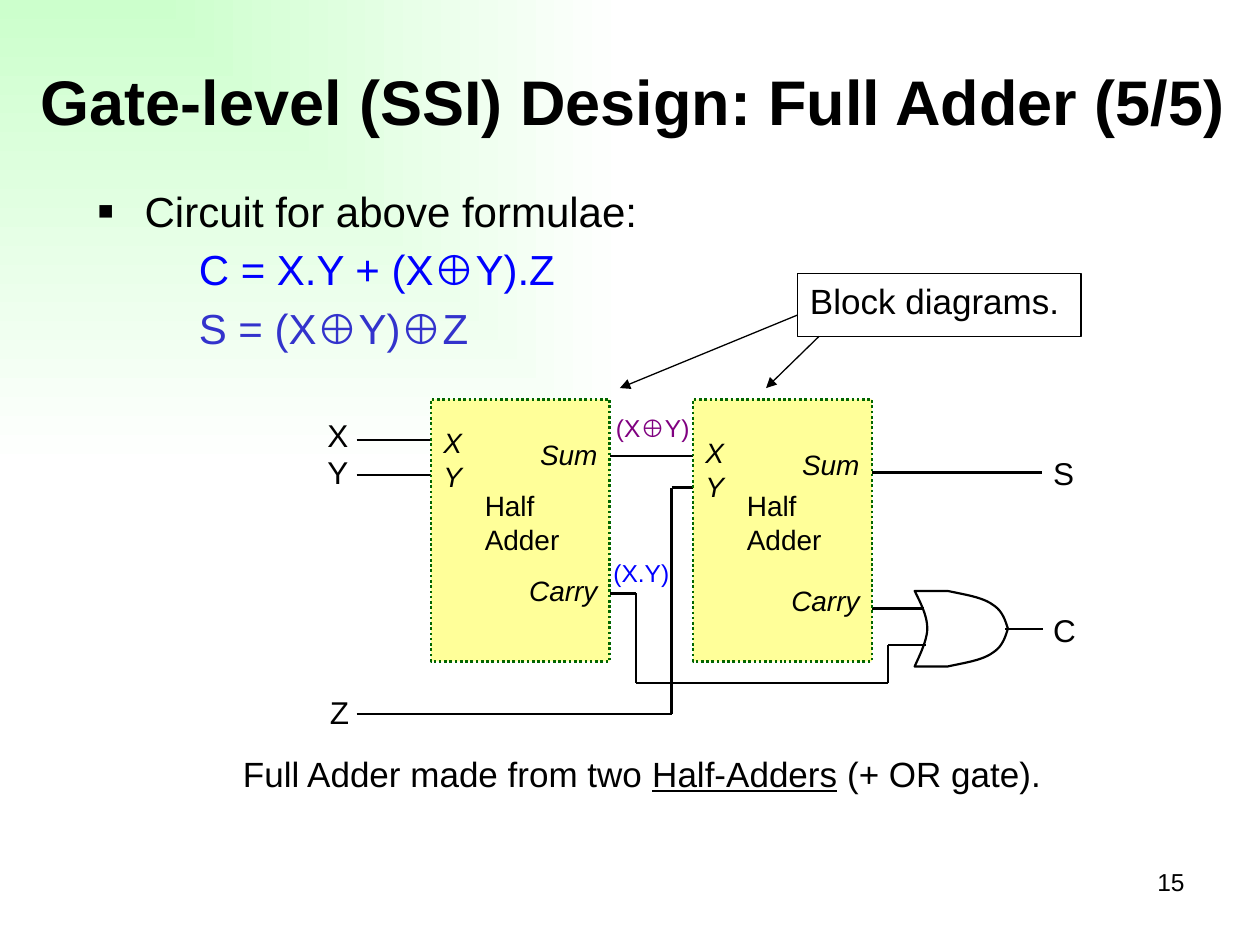
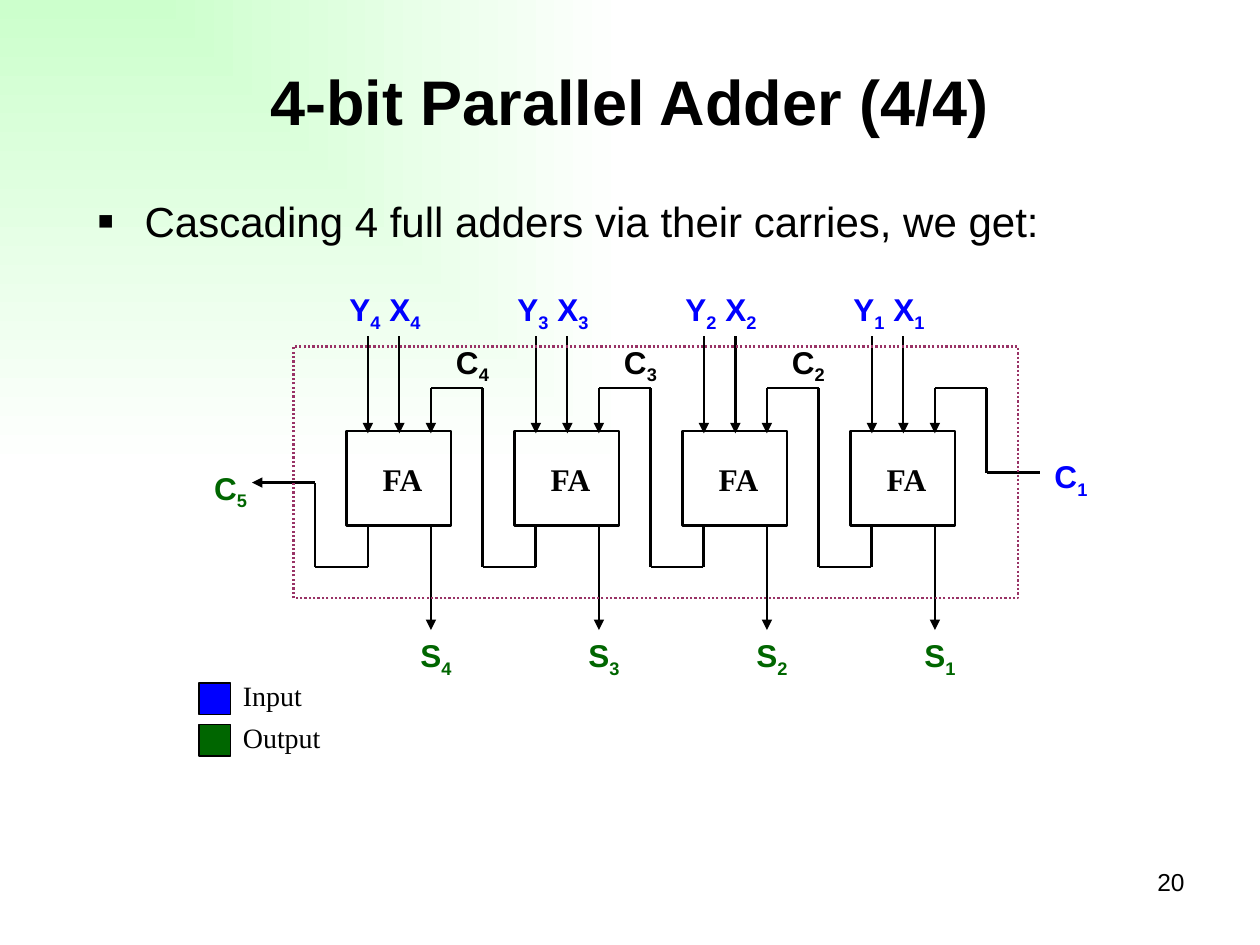
from dataclasses import dataclass
from itertools import pairwise
from typing import Any, NamedTuple

import lxml.etree
import pptx
import pptx.dml.color
import pptx.enum.dml
import pptx.enum.shapes
import pptx.enum.text
import pptx.oxml
import pptx.oxml.ns
import pptx.util
from pptx.util import Inches

BLACK, BLUE, GREEN = "000000", "0000FF", "006600"
INDIGO, PURPLE, PLUM, YELLOW = "3333CC", "800080", "993366", "FFFF99"
MINT, WHITE = "CCFFCC", "FFFFFF"
SANS, SERIF = "Arial", "Times New Roman"
LEFT = pptx.enum.text.PP_ALIGN.LEFT
CENTER = pptx.enum.text.PP_ALIGN.CENTER
RIGHT = pptx.enum.text.PP_ALIGN.RIGHT
TOP = pptx.enum.text.MSO_ANCHOR.TOP
MIDDLE = pptx.enum.text.MSO_ANCHOR.MIDDLE
WIRE_WIDTH = 1.25

Point = tuple[float, float]


class Box(NamedTuple):
    left: float
    top: float
    width: float
    height: float


@dataclass
class Piece:
    """A stretch of text, with font values that differ from its paragraph's."""
    text: str
    underline: bool = False
    subscript: bool = False


@dataclass
class Line:
    """One paragraph."""
    pieces: list[Piece]
    color: str = BLACK
    margin: float = 0
    bullet: str = ""
    space_before: float = 0


@dataclass
class HalfAdder:
    left: float
    pin_shift: float


@dataclass
class LegendEntry:
    name: str
    color: str
    top: float


def rgb(color: str) -> pptx.dml.color.RGBColor:
    return pptx.dml.color.RGBColor.from_string(color)


def emu(values) -> list[int]:
    return [Inches(value) for value in values]


def plain(text: str, **values: Any) -> Line:
    return Line([Piece(text)], **values)


def indexed(*names: str, index: int, color: str = BLACK) -> Line:
    """Names that each carry the same subscript, one space apart."""
    pieces = []
    for position, name in enumerate(names):
        pieces.append(Piece(" " + name if position else name))
        pieces.append(Piece(str(index), subscript=True))
    return Line(pieces, color)


def write(shape, lines: list[Line], size: float, align=LEFT, anchor=TOP, **font_values: Any) -> None:
    frame = shape.text_frame
    frame.word_wrap = True
    frame.vertical_anchor = anchor
    font_format = {"name": SANS, "size": pptx.util.Pt(size), **font_values}
    for number, line in enumerate(lines):
        paragraph = frame.add_paragraph() if number else frame.paragraphs[0]
        paragraph.alignment = align
        paragraph.space_before = pptx.util.Pt(line.space_before)
        if line.margin:
            indent(paragraph, line)
        for piece in line.pieces:
            run = paragraph.add_run()
            run.text = piece.text
            for name, value in font_format.items():
                setattr(run.font, name, value)
            run.font.color.rgb = rgb(line.color)
            if piece.underline:
                run.font.underline = True
            if piece.subscript:
                run._r.get_or_add_rPr().set("baseline", "-25000")


def indent(paragraph, line: Line) -> None:
    properties = paragraph._p.get_or_add_pPr()
    properties.set("marL", str(Inches(line.margin)))
    if line.bullet:
        properties.set("indent", str(-Inches(line.margin)))
        for tag, name, value in (("a:buSzPct", "val", "120000"), ("a:buFont", "typeface", SANS),
                                 ("a:buChar", "char", line.bullet)):
            lxml.etree.SubElement(properties, pptx.oxml.ns.qn(tag)).set(name, value)


def add_text(slide, box: Box, lines: list[Line], size: float, **values: Any) -> None:
    write(slide.shapes.add_textbox(*emu(box)), lines, size, **values)


def style_outline(shape, color: str, width: float, fill: str = "", dotted: bool = False) -> None:
    shape.shadow.inherit = False
    if fill:
        shape.fill.solid()
        shape.fill.fore_color.rgb = rgb(fill)
    else:
        shape.fill.background()
    shape.line.color.rgb = rgb(color)
    shape.line.width = pptx.util.Pt(width)
    if dotted:
        shape.line.dash_style = pptx.enum.dml.MSO_LINE.ROUND_DOT


def add_rectangle(slide, box: Box, color: str, width: float, **values: Any):
    shape = slide.shapes.add_shape(pptx.enum.shapes.MSO_SHAPE.RECTANGLE, *emu(box))
    style_outline(shape, color, width, **values)
    return shape


def add_route(slide, *points: Point, arrow: bool = False, width: float = WIRE_WIDTH) -> None:
    """Straight wires from point to point; an arrow goes on the last one."""
    for start, end in pairwise(points):
        connector = slide.shapes.add_connector(
            pptx.enum.shapes.MSO_CONNECTOR.STRAIGHT, *emu(start + end))
        connector.line.color.rgb = rgb(BLACK)
        connector.line.width = pptx.util.Pt(width)
        properties = connector._element.spPr
        lxml.etree.SubElement(properties, pptx.oxml.ns.qn("a:effectLst"))
    if arrow:
        line = connector.line._get_or_add_ln()
        lxml.etree.SubElement(line, pptx.oxml.ns.qn("a:tailEnd")).set("type", "triangle")


def curve(start: Point, first: Point, second: Point, end: Point, steps: int = 12) -> list[Point]:
    """Points along a cubic curve."""
    points = []
    for step in range(steps + 1):
        t = step / steps
        weights = ((1 - t) ** 3, 3 * t * (1 - t) ** 2, 3 * t ** 2 * (1 - t), t ** 3)
        corners = (start, first, second, end)
        points.append(tuple(sum(w * corner[axis] for w, corner in zip(weights, corners))
                            for axis in (0, 1)))
    return points


def add_or_gate(slide) -> None:
    middle = 4.99
    upper = (curve((7.52, 4.69), (7.66, 4.72), (7.8, 4.74), (7.88, 4.8))
             + curve((7.88, 4.8), (7.96, 4.85), (7.98, 4.93), (8, middle)))
    lower = [(x, 2 * middle - y) for x, y in reversed(upper)]
    back = (curve((7.26, 5.29), (7.28, 5.24), (7.36, 5.09), (7.36, middle))
            + curve((7.36, middle), (7.36, 4.89), (7.31, 4.79), (7.26, 4.69)))
    start, *rest = [emu(point) for point in upper + lower + back]
    builder = slide.shapes.build_freeform(*start)
    builder.add_line_segments(rest, close=True)
    style_outline(builder.convert_to_shape(), BLACK, WIRE_WIDTH)


def add_slide(presentation, title: str, title_box: Box, number: int):
    slide = presentation.slides.add_slide(presentation.slide_layouts[6])
    fill = slide.background.fill
    fill.gradient()
    for stop, color, position in zip(fill.gradient_stops, (MINT, WHITE), (0, 1)):
        stop.color.rgb = rgb(color)
        stop.position = position
    gradient = slide.background._cSld.find(".//" + pptx.oxml.ns.qn("a:gradFill"))
    gradient.remove(gradient.find(pptx.oxml.ns.qn("a:lin")))
    shade = lxml.etree.SubElement(gradient, pptx.oxml.ns.qn("a:path"))
    shade.set("path", "rect")
    lxml.etree.SubElement(shade, pptx.oxml.ns.qn("a:fillToRect")).attrib.update(
        {"r": "100000", "b": "100000"})
    add_text(slide, Box(7.17, 6.83, 2.33, 0.52), [plain(str(number))], 14, align=RIGHT)
    add_text(slide, title_box, [plain(title)], 36, align=CENTER, anchor=MIDDLE, bold=True)
    return slide


def bulleted(text: str) -> Line:
    return plain(text, margin=0.38, bullet="▪")


def add_half_adder(slide, block: HalfAdder) -> None:
    left, shift = block.left, block.pin_shift
    add_rectangle(slide, Box(left, 3.17, 1.42, 2.08), GREEN, 1.5, fill=YELLOW, dotted=True)
    add_text(slide, Box(left + 0.33, 3.83, 0.83, 0.67), [plain("Half"), plain("Adder")], 16)
    add_text(slide, Box(left, 3.33 + shift, 0.5, 0.67), [plain("X"), plain("Y")], 16, italic=True)
    add_text(slide, Box(left + 0.75, 3.42 + shift, 0.67, 0.33), [plain("Sum")], 16,
             align=RIGHT, italic=True)
    add_text(slide, Box(left + 0.67, 4.5 + shift, 0.75, 0.42), [plain("Carry")], 16,
             align=RIGHT, italic=True)


def build_full_adder(presentation) -> None:
    slide = add_slide(presentation, "Gate-level (SSI) Design: Full Adder (5/5)",
                      Box(0.15, 0.17, 9.75, 1.25), 15)
    add_text(slide, Box(0.67, 1.42, 8.33, 1.5), [
        bulleted("Circuit for above formulae:"),
        plain("C = X.Y + (X⊕Y).Z", color=BLUE, margin=0.81, space_before=4.8),
        plain("S = (X⊕Y)⊕Z", color=INDIGO, margin=0.81, space_before=4.8),
    ], 24)
    add_text(slide, Box(1.83, 5.92, 6.67, 0.58), [Line([
        Piece("Full Adder made from two "), Piece("Half-Adders", underline=True),
        Piece(" (+ OR gate)."),
    ])], 20)

    for route in (
        [(2.83, 3.49), (4.08, 3.49)],
        [(2.83, 3.77), (4.08, 3.77)],
        [(4.73, 3.62), (6.11, 3.62)],
        [(2.83, 5.67), (5.33, 5.67), (5.33, 3.87), (6.11, 3.87)],
        [(4.75, 4.71), (5.05, 4.71), (5.05, 5.42), (7.05, 5.42), (7.05, 5.12), (7.35, 5.12)],
        [(6.78, 3.75), (8.27, 3.75)],
        [(6.81, 4.83), (7.33, 4.83)],
        [(7.98, 4.99), (8.28, 4.99)],
    ):
        add_route(slide, *route)
    add_or_gate(slide)

    add_text(slide, Box(2.5, 3.25, 0.42, 0.6), [plain("X"), plain("Y")], 18)
    for name, left, top in (("Z", 2.52, 5.45), ("S", 8.26, 3.55), ("C", 8.26, 4.8)):
        add_text(slide, Box(left, top, 0.42, 0.38), [plain(name)], 18)
    add_text(slide, Box(4.79, 3.23, 0.9, 0.38), [plain("(X⊕Y)", color=PURPLE)], 14)
    add_text(slide, Box(4.77, 4.38, 0.69, 0.38), [plain("(X.Y)", color=BLUE)], 14)
    for block in (HalfAdder(3.42, 0), HalfAdder(5.5, 0.08)):
        add_half_adder(slide, block)

    callout = add_rectangle(slide, Box(6.33, 2.17, 2.25, 0.5), BLACK, 0.75)
    write(callout, [plain("Block diagrams.")], 20)
    add_route(slide, (6.33, 2.5), (4.92, 3.08), arrow=True, width=0.75)
    add_route(slide, (6.5, 2.67), (6.08, 3.08), arrow=True, width=0.75)


def add_full_adder_stage(slide, bit: int, left: float) -> None:
    y_input, x_input, carry_in = left + 0.17, left + 0.42, left + 0.67
    riser = left + 1.08
    label = {"size": 18, "align": CENTER, "bold": True}
    add_rectangle(slide, Box(left, 3.42, 0.83, 0.75), BLACK, 1.5)
    add_text(slide, Box(left + 0.11, 3.6, 0.67, 0.4), [plain("FA")], name=SERIF, **label)
    add_text(slide, Box(left - 0.17, 2.25, 0.95, 0.4),
             [indexed("Y", "X", index=bit, color=BLUE)], **label)
    add_text(slide, Box(left + 0.42, 5, 0.58, 0.4), [indexed("S", index=bit, color=GREEN)], **label)
    for x, top, bottom in ((y_input, 2.67, 3.44), (x_input, 2.67, 3.44), (carry_in, 4.17, 5)):
        add_route(slide, (x, top), (x, bottom), arrow=True)
    if bit == 1:
        source = [(left + 1.5, 3.75), (riser, 3.75)]
    else:
        source = [(left + 1.5, 4.17), (left + 1.5, 4.5), (riser, 4.5)]
        add_text(slide, Box(left + 0.75, 2.67, 0.5, 0.4), [indexed("C", index=bit)], **label)
    add_route(slide, *source, (riser, 3.08), (carry_in, 3.08), (carry_in, 3.44), arrow=True)


def build_parallel_adder(presentation) -> None:
    slide = add_slide(presentation, "4-bit Parallel Adder (4/4)", Box(0.75, 0.17, 8.5, 1.25), 20)
    add_text(slide, Box(0.67, 1.5, 8.5, 0.5),
             [bulleted("Cascading 4 full adders via their carries, we get:")], 24)
    bits, first_left, pitch = 4, 2.75, 4 / 3
    for bit in range(1, bits + 1):
        add_full_adder_stage(slide, bit, first_left + (bits - bit) * pitch)
    add_route(slide, (2.92, 4.17), (2.92, 4.5), (2.5, 4.5), (2.5, 3.83), (2, 3.83), arrow=True)
    for index, left, top, color in ((1, 8.25, 3.58, BLUE), (bits + 1, 1.58, 3.67, GREEN)):
        add_text(slide, Box(left, top, 0.5, 0.4), [indexed("C", index=index, color=color)], 18,
                 align=CENTER, bold=True)
    add_rectangle(slide, Box(2.33, 2.75, 5.75, 2), PLUM, WIRE_WIDTH, dotted=True)
    for entry in (LegendEntry("Input", BLUE, 5.42), LegendEntry("Output", GREEN, 5.75)):
        add_rectangle(slide, Box(1.58, entry.top, 0.25, 0.25), BLACK, 0.75, fill=entry.color)
        add_text(slide, Box(1.83, entry.top - 0.08, 1, 0.37), [plain(entry.name)], 16, name=SERIF)


def main() -> None:
    presentation = pptx.Presentation()
    presentation.slide_width, presentation.slide_height = Inches(10), Inches(7.5)
    build_full_adder(presentation)
    build_parallel_adder(presentation)
    presentation.save("out.pptx")


if __name__ == "__main__":
    main()
